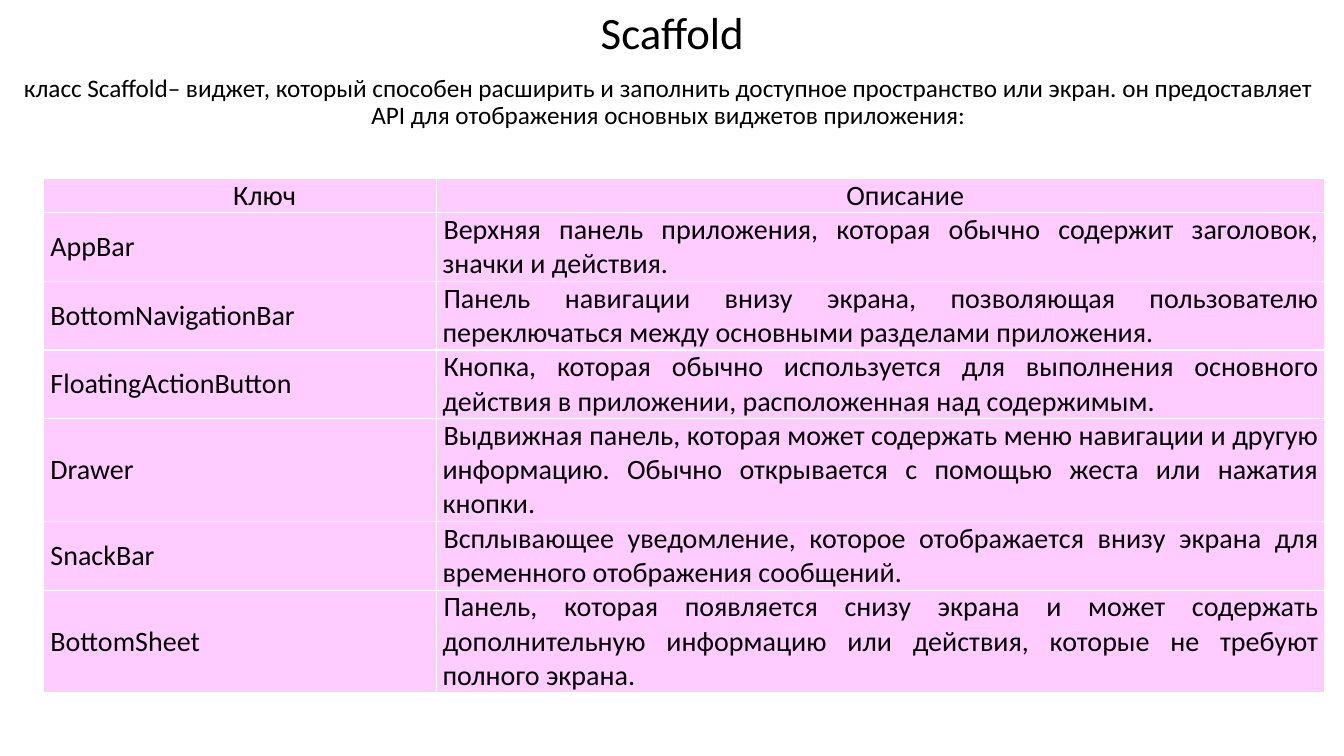
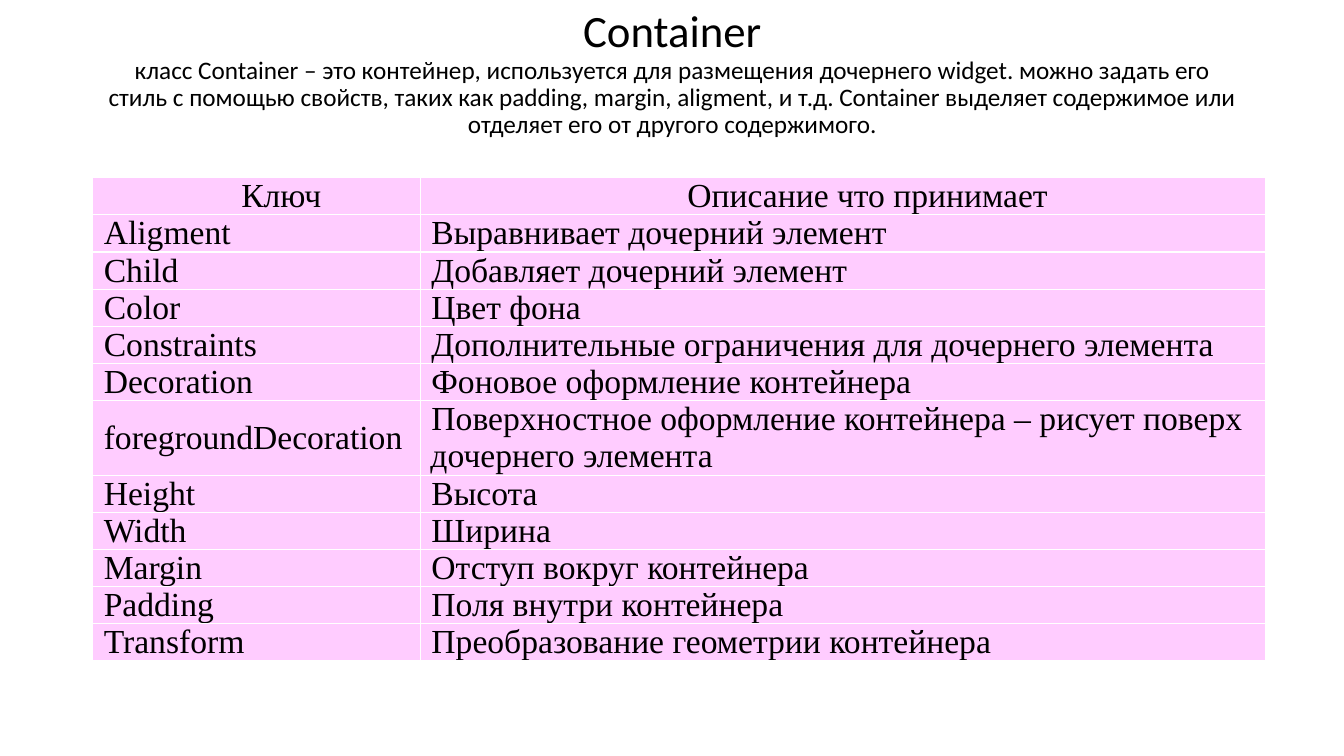
from lxml.etree import SubElement
from pptx import Presentation
from pptx.dml.color import RGBColor
from pptx.enum.text import MSO_ANCHOR as Anchor, MSO_AUTO_SIZE as AutoSize, PP_ALIGN as Align
from pptx.oxml.ns import qn
from pptx.util import Inches, Pt

BLACK, WHITE, PINK = "000000", "FFFFFF", "FFCCFF"
TITLE_AND_BODY = 1

# Each row: key, description, number of text lines
SCAFFOLD_ROWS = [
    ("Ключ", "Описание", 1),
    ("AppBar", "Верхняя панель приложения, которая обычно содержит заголовок, значки и действия.", 2),
    ("BottomNavigationBar", "Панель навигации внизу экрана, позволяющая пользователю "
     "переключаться между основными разделами приложения.", 2),
    ("FloatingActionButton", "Кнопка, которая обычно используется для выполнения основного "
     "действия в приложении, расположенная над содержимым.", 2),
    ("Drawer", "Выдвижная панель, которая может содержать меню навигации и другую информацию. "
     "Обычно открывается с помощью жеста или нажатия кнопки.", 3),
    ("SnackBar", "Всплывающее уведомление, которое отображается внизу экрана для "
     "временного отображения сообщений.", 2),
    ("BottomSheet", "Панель, которая появляется снизу экрана и может содержать дополнительную "
     "информацию или действия, которые не требуют полного экрана.", 3),
]
CONTAINER_ROWS = [
    ("Ключ", "Описание что принимает", 1),
    ("Aligment", "Выравнивает дочерний элемент", 1),
    ("Child", "Добавляет дочерний элемент", 1),
    ("Color", "Цвет фона", 1),
    ("Constraints", "Дополнительные ограничения для дочернего элемента", 1),
    ("Decoration", "Фоновое оформление контейнера", 1),
    ("foregroundDecoration", "Поверхностное оформление контейнера – рисует поверх "
     "дочернего элемента", 2),
    ("Height", "Высота", 1),
    ("Width", "Ширина", 1),
    ("Margin", "Отступ вокруг контейнера", 1),
    ("Padding", "Поля внутри контейнера", 1),
    ("Transform", "Преобразование геометрии контейнера", 1),
]


def color(hex_text):
    return RGBColor.from_string(hex_text)


def add_borders(cell, hex_text, width):
    properties = cell._tc.get_or_add_tcPr()
    for position, side in enumerate(("lnL", "lnR", "lnT", "lnB")):
        line = SubElement(properties, qn(f"a:{side}"), w=str(width))
        fill = SubElement(line, qn("a:solidFill"))
        SubElement(fill, qn("a:srgbClr"), val=hex_text)
        properties.insert(position, line)  # borders come before the cell fill


class Deck:
    """Holds the shared style and the current page; lengths are percents of the slide."""

    def __init__(self):
        self.show = Presentation()
        self.show.slide_width, self.show.slide_height = Inches(13.33), Inches(7.5)
        self.page = None

    def across(self, percent):
        return round(self.show.slide_width * percent / 100)

    def down(self, percent):
        return round(self.show.slide_height * percent / 100)

    def style(self, paragraph, size, font="Calibri", align=Align.CENTER, indent=0):
        properties = paragraph._p.get_or_add_pPr()
        properties.set("marL", "0")
        properties.set("indent", str(Inches(indent)))
        paragraph.alignment = align
        for span in paragraph.runs:
            span.font.name, span.font.size = font, Pt(size)
            span.font.color.rgb = color(BLACK)

    def fill_placeholder(self, box, text, area, size, anchor):
        left, top, width, height = area
        box.left, box.top = self.across(left), self.down(top)
        box.width, box.height = self.across(width), self.down(height)
        frame = box.text_frame
        frame.text = text
        frame.auto_size, frame.vertical_anchor = AutoSize.NONE, anchor
        paragraph = frame.paragraphs[0]
        paragraph.line_spacing, paragraph.space_before = 0.9, Pt(0)
        SubElement(paragraph._p.get_or_add_pPr(), qn("a:buNone"))
        self.style(paragraph, size)

    def add_page(self, title, title_height):
        layout = self.show.slide_layouts[TITLE_AND_BODY]
        self.page = self.show.slides.add_slide(layout)
        self.fill_placeholder(self.page.shapes.title, title,
                              (6.9, 0, 86.25, title_height), 32, Anchor.MIDDLE)

    def add_summary(self, text, area):
        self.fill_placeholder(self.page.placeholders[1], text, area, 18, Anchor.TOP)

    def add_key_table(self, rows, left, top, columns, line_height, margin, size, font, align):
        height = line_height * sum(lines for _, _, lines in rows)
        table = self.page.shapes.add_table(
            len(rows), len(columns), self.across(left), self.down(top),
            self.across(sum(columns)), self.down(height)).table
        table.first_row = table.horz_banding = False
        for column, width in zip(table.columns, columns):
            column.width = self.across(width)
        for index, (*texts, lines) in enumerate(rows):
            table.rows[index].height = self.down(line_height * lines)
            for cell, text in zip(table.rows[index].cells, texts):
                cell.text = text
                cell.vertical_anchor = Anchor.MIDDLE
                cell.margin_left = cell.margin_right = Inches(margin)
                cell.margin_top = cell.margin_bottom = 0
                cell.fill.solid()
                cell.fill.fore_color.rgb = color(PINK)
                add_borders(cell, WHITE, Pt(1))
                row_align, indent = (align, 0.01) if index else (Align.CENTER, 0.49)
                self.style(cell.text_frame.paragraphs[0], size, font, row_align, indent)


def main():
    deck = Deck()

    deck.add_page("Scaffold", 9.33)
    deck.add_summary("класс Scaffold– виджет, который способен расширить и заполнить доступное "
                     "пространство или экран. он предоставляет API для отображения основных "
                     "виджетов приложения:", (0, 9.33, 99.45, 13))
    deck.add_key_table(SCAFFOLD_ROWS, left=3.23, top=23.6, columns=(29.25, 66.08),
                       line_height=4.5, margin=0.06, size=20, font="Calibri",
                       align=Align.JUSTIFY)

    deck.add_page("Container", 8.6)
    deck.add_summary("класс Container – это контейнер, используется для размещения дочернего "
                     "widget. можно задать его стиль с помощью свойств, таких как padding, "
                     "margin, aligment, и т.д. Container выделяет содержимое или отделяет его "
                     "от другого содержимого.", (6.9, 6.95, 86.25, 15))
    deck.add_key_table(CONTAINER_ROWS, left=6.9, top=23.5, columns=(24.38, 62.87),
                       line_height=4.9, margin=0.1, size=24, font="Times New Roman",
                       align=Align.LEFT)

    deck.show.save("out.pptx")


if __name__ == "__main__":
    main()
